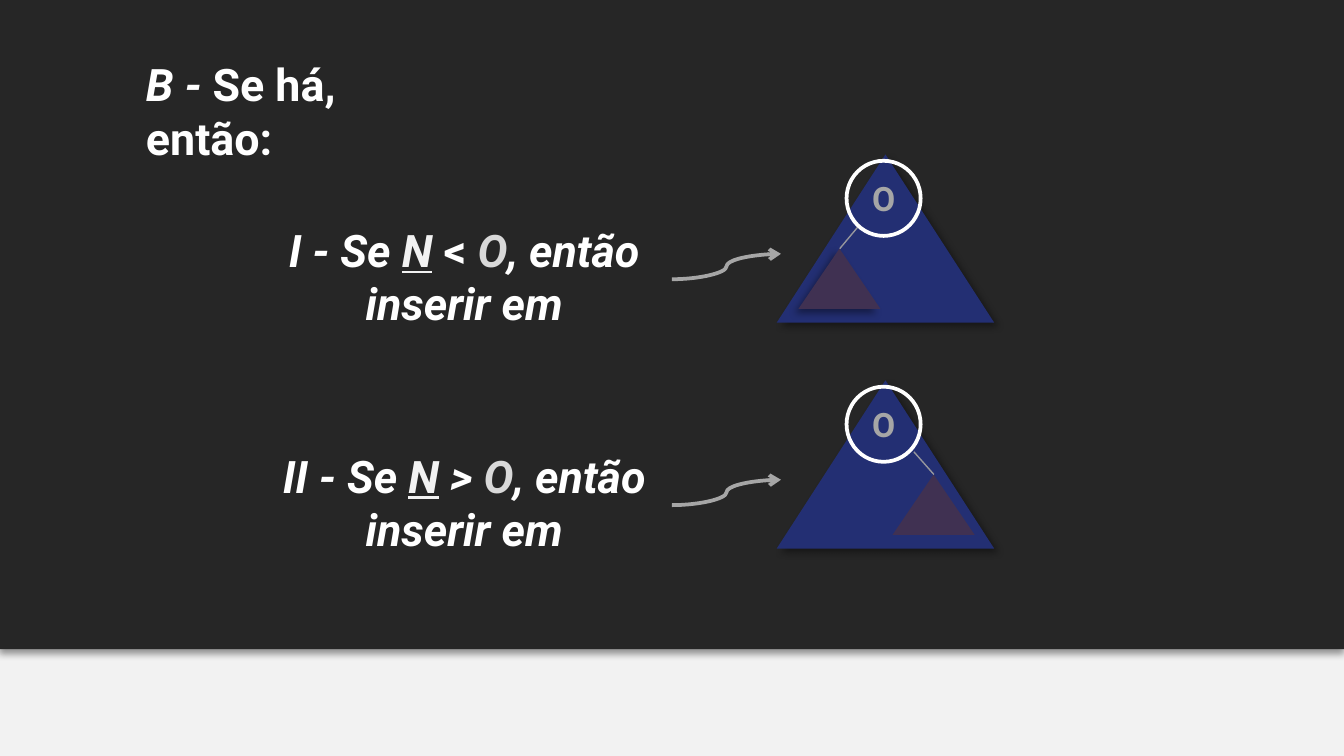
from lxml.etree import SubElement
from pptx import Presentation
from pptx.dml.color import RGBColor
from pptx.enum.shapes import MSO_CONNECTOR, MSO_SHAPE
from pptx.enum.text import MSO_ANCHOR, PP_ALIGN
from pptx.oxml.ns import qn
from pptx.util import Cm, Pt

WHITE, GREY = "FFFFFF", "A6A6A6"


def color(value):
    return RGBColor.from_string(value)


class TreeSlide:
    """Draws dark-theme elements on one slide, with lengths in centimetres."""

    font = "Roboto"

    def __init__(self, slide):
        self.slide = slide
        self.shapes = slide.shapes

    def background(self, fill):
        self.slide.background.fill.solid()
        self.slide.background.fill.fore_color.rgb = color(fill)

    def add_pieces(self, paragraph, pieces, size):
        for text, hue, italic, underline in pieces:
            run = paragraph.add_run()
            run.text = text
            font = run.font
            font.name, font.size, font.bold = self.font, Pt(size), True
            font.italic, font.underline = italic, underline
            font.color.rgb = color(hue)

    def text(self, box, lines, align):
        frame = self.shapes.add_textbox(*map(Cm, box)).text_frame
        frame.word_wrap = True
        frame.vertical_anchor = MSO_ANCHOR.MIDDLE
        frame.margin_left = frame.margin_right = Cm(0.25)
        frame.margin_top = frame.margin_bottom = Cm(0.25)
        for index, pieces in enumerate(lines):
            paragraph = frame.add_paragraph() if index else frame.paragraphs[0]
            paragraph.alignment = align
            self.add_pieces(paragraph, pieces, 24)

    def solid(self, kind, box, fill, shadow_angle=None):
        shape = self.shapes.add_shape(kind, *map(Cm, box))
        shape.shadow.inherit = False
        shape.fill.solid()
        shape.fill.fore_color.rgb = color(fill)
        shape.line.fill.background()
        if shadow_angle is not None:
            effects = shape._element.spPr.find(qn("a:effectLst"))
            shadow = SubElement(effects, qn("a:outerShdw"), blurRad=str(Pt(4)), dist=str(Pt(3)),
                                dir=str(shadow_angle * 60000), algn="t", rotWithShape="0")
            black = SubElement(shadow, qn("a:srgbClr"), val="000000")
            SubElement(black, qn("a:alpha"), val="40000")

    def node(self, box, label):
        circle = self.shapes.add_shape(MSO_SHAPE.OVAL, *map(Cm, box))
        circle.shadow.inherit = False
        circle.fill.background()
        circle.line.color.rgb = color(WHITE)
        circle.line.width = Pt(2)
        frame = circle.text_frame
        frame.margin_left = frame.margin_right = 0
        frame.vertical_anchor = MSO_ANCHOR.MIDDLE
        frame.paragraphs[0].alignment = PP_ALIGN.CENTER
        self.add_pieces(frame.paragraphs[0], [(label, GREY, False, False)], 18)

    def link(self, kind, ends, hue, width, arrow=False):
        connector = self.shapes.add_connector(kind, *map(Cm, ends))
        connector.line.color.rgb = color(hue)
        connector.line.width = Pt(width)
        properties = connector._element.spPr
        if arrow:
            SubElement(properties.find(qn("a:ln")), qn("a:tailEnd"), type="arrow")
        SubElement(properties, qn("a:effectLst"))


presentation = Presentation()
presentation.slide_width, presentation.slide_height = Cm(25.4), Cm(14.29)
page = TreeSlide(presentation.slides.add_slide(presentation.slide_layouts[6]))
page.background("F2F2F2")
page.solid(MSO_SHAPE.RECTANGLE, (0, 0, 25.4, 12.27), "262626", 90)
page.text((2.51, 1.19, 6.68, 1.8),
          [[("B - ", WHITE, True, False), ("Se há, então:", WHITE, False, False)]], PP_ALIGN.LEFT)

ROW_STEP = 4.27
cases = [
    ("I", "<", False, 15.09, 135, 16.23),
    ("II", ">", True, 16.87, None, 17.27),
]
for row, (numeral, sign, sign_italic, subtree_left, subtree_shadow, link_start) in enumerate(cases):
    top = 2.92 + row * ROW_STEP
    condition = [
        (f"{numeral} - Se ", WHITE, True, False),
        ("N", "F2F2F2", True, True),
        (" ", WHITE, True, False),
        (f"{sign} ", WHITE, sign_italic, False),
        ("O", "D9D9D9", True, False),
        (", então", WHITE, True, False),
    ]
    action = [("inserir em", WHITE, True, False)]
    page.text((4.9, top + 1.4, 7.75, 1.8), [condition, action], PP_ALIGN.CENTER)
    page.solid(MSO_SHAPE.ISOSCELES_TRIANGLE, (14.68, top, 4.11, 3.18), "232F73", 45)
    page.link(MSO_CONNECTOR.CURVE, (12.7, top + 2.36, 14.76, top + 1.88), GREY, 2, arrow=True)
    page.solid(MSO_SHAPE.ISOSCELES_TRIANGLE, (subtree_left, top + 1.78, 1.55, 1.14),
               "403152", subtree_shadow)
    page.link(MSO_CONNECTOR.STRAIGHT,
              (link_start, top + 1.35, subtree_left + 0.78, top + 1.78), "97979D", 0.75)
    page.node((16, top + 0.12, 1.4, 1.42), "O")

presentation.save("out.pptx")
